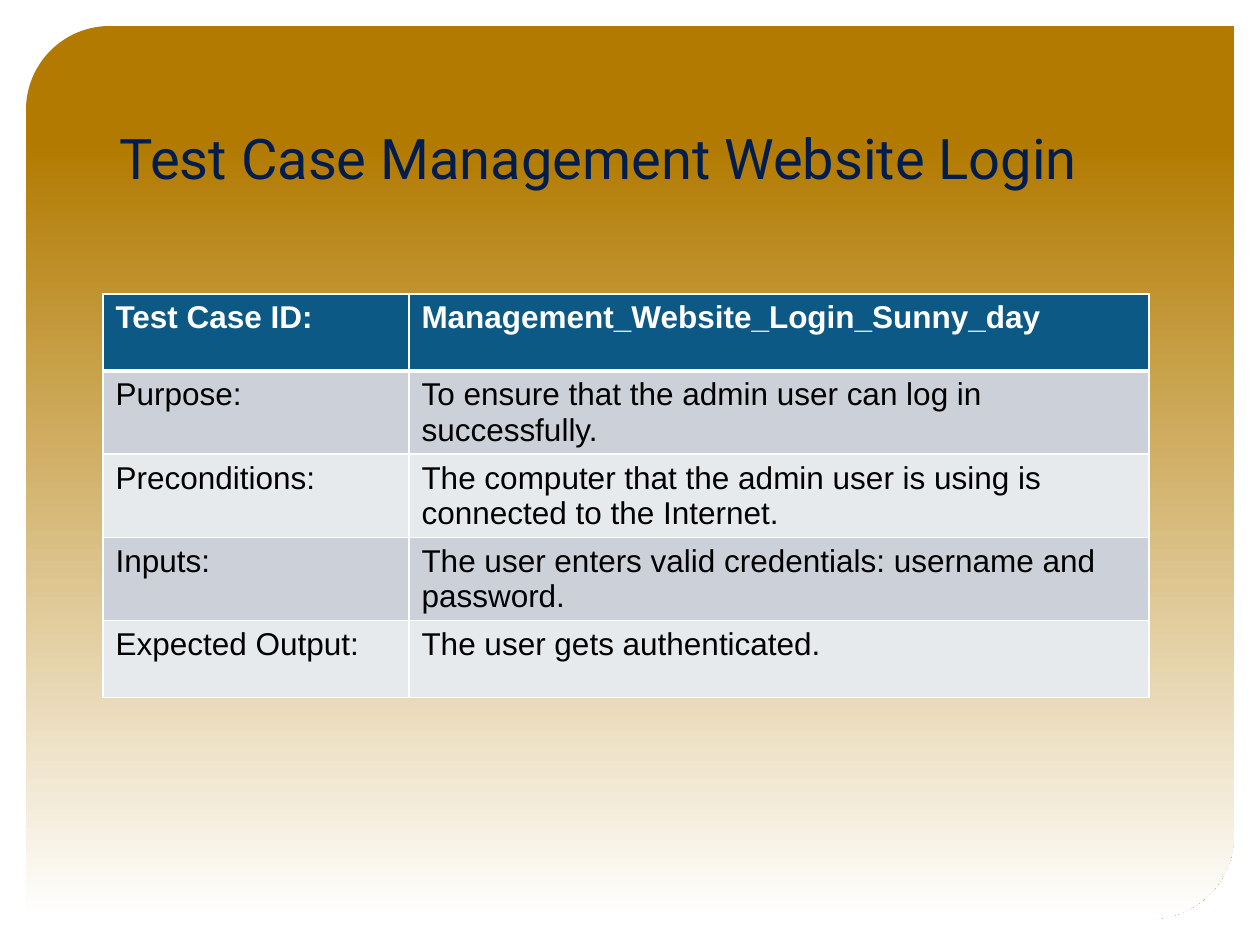
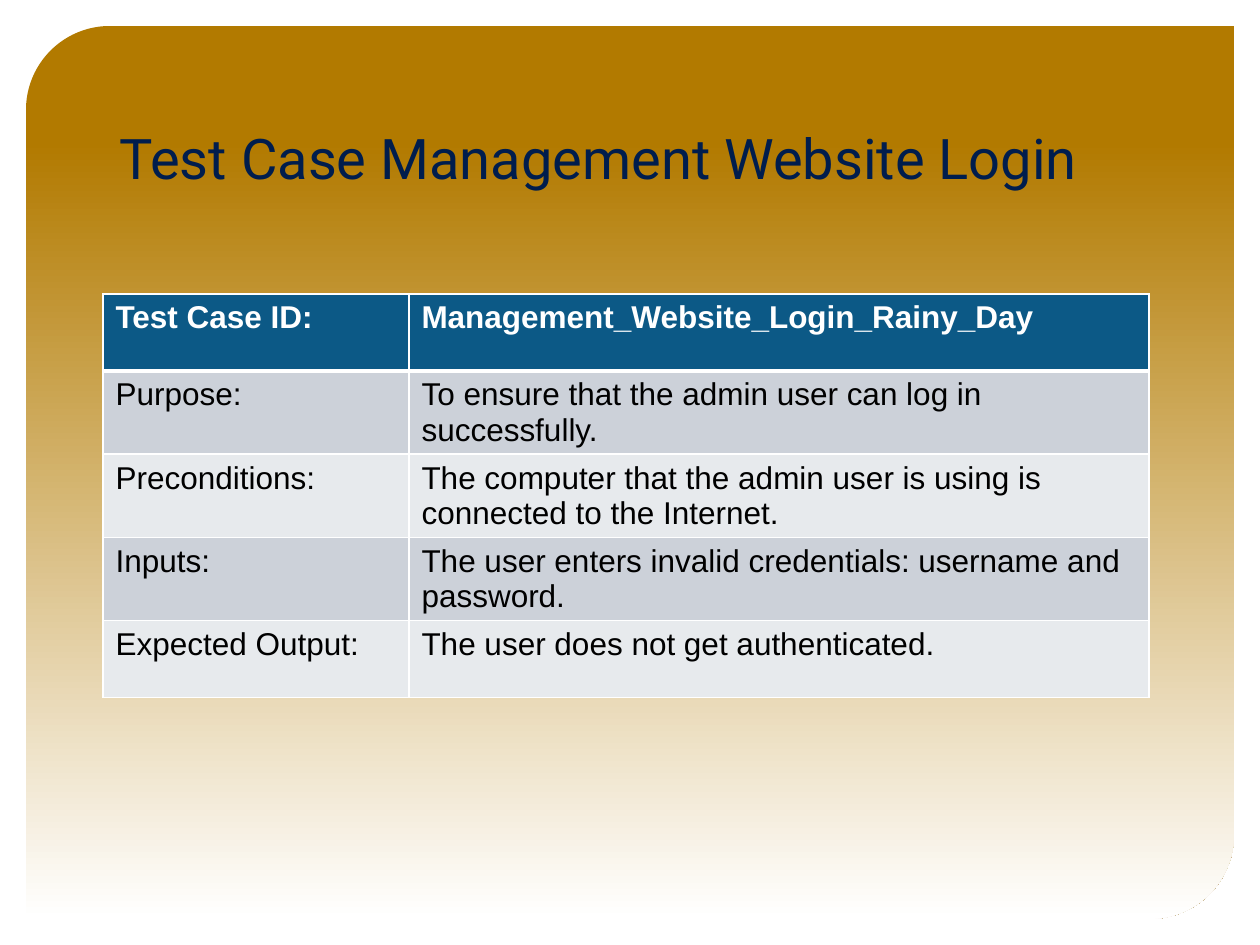
from dataclasses import dataclass

from lxml.etree import SubElement
from pptx import Presentation
from pptx.dml.color import RGBColor
from pptx.enum.shapes import MSO_SHAPE
from pptx.enum.text import MSO_ANCHOR, PP_ALIGN
from pptx.oxml.ns import qn
from pptx.util import Inches, Pt

TITLE = "Test Case Management Website Login"
LABELS = ["Test Case ID:", "Purpose:", "Preconditions:", "Inputs:", "Expected Output:"]
PURPOSE = "To ensure that the admin user can log in successfully."
PRECONDITIONS = "The computer that the admin user is using is connected to the Internet."
TEST_CASES = [
    [
        "Management_Website_Login_Sunny_day",
        PURPOSE,
        PRECONDITIONS,
        "The user enters valid credentials: username and password.",
        "The user gets authenticated.",
    ],
    [
        "Management_Website_Login_Rainy_Day",
        PURPOSE,
        PRECONDITIONS,
        "The user enters invalid credentials: username and password.",
        "The user does not get authenticated.",
    ],
]


@dataclass(frozen=True)
class Theme:
    title_font: str = "Roboto"
    body_font: str = "Arial"
    title_size: int = 32
    body_size: int = 18
    title_color: str = "001D4D"
    header_fill: str = "0C5986"
    header_text: str = "FFFFFF"
    body_text: str = "000000"
    bands: tuple = ("CCD1D9", "E7EAED")
    border: str = "FFFFFF"
    thin: int = 1
    thick: int = 3
    gradient: tuple = ((0.13, "B27A00"), (1, "FFFFFF"))


THEME = Theme()
PX = Inches(1) / 126
PAGE_SIZE = (1260, 945)
PANEL = (26, 26, 1208, 893)
PANEL_ROUNDING = 0.094
TITLE_BOX = (107, 53, 1045, 144)
TABLE_ORIGIN = (103, 294)
COLUMNS = (306, 740)
ROW_HEIGHT = 77


def px(*lengths):
    return [round(length * PX) for length in lengths]


def write(frame, text, *, font, size, color, bold=False):
    para = frame.paragraphs[0]
    para.alignment = PP_ALIGN.LEFT
    span = para.add_run()
    span.text = text
    span.font.name = font
    span.font.size = Pt(size)
    span.font.bold = bold
    span.font.color.rgb = RGBColor.from_string(color)


def add_panel(page, layout):
    panel = page.shapes.add_shape(MSO_SHAPE.ROUND_2_DIAG_RECTANGLE, *px(*PANEL))
    panel.adjustments[0] = PANEL_ROUNDING
    panel.adjustments[1] = 0
    panel.shadow.inherit = False
    panel.line.fill.background()
    panel.fill.gradient()
    panel.fill.gradient_angle = 270
    for stop, (position, color) in zip(panel.fill.gradient_stops, THEME.gradient):
        stop.position = position
        stop.color.rgb = RGBColor.from_string(color)
    layout.shapes.element.insert(2, panel.element)


def set_borders(cell, **widths):
    properties = cell._tc.get_or_add_tcPr()
    for index, side in enumerate("LRTB"):
        line = SubElement(properties, qn(f"a:ln{side}"), w=str(Pt(widths.get(side, THEME.thin))))
        fill = SubElement(line, qn("a:solidFill"))
        SubElement(fill, qn("a:srgbClr"), val=THEME.border)
        properties.insert(index, line)


def add_title(page):
    title = page.shapes.title
    title.left, title.top, title.width, title.height = px(*TITLE_BOX)
    title.text_frame.vertical_anchor = MSO_ANCHOR.BOTTOM
    write(title.text_frame, TITLE, font=THEME.title_font,
          size=THEME.title_size, color=THEME.title_color)


def add_test_table(page, values):
    size = (sum(COLUMNS), ROW_HEIGHT * len(LABELS))
    table = page.shapes.add_table(len(LABELS), len(COLUMNS), *px(*TABLE_ORIGIN, *size)).table
    for column, width in zip(table.columns, px(*COLUMNS)):
        column.width = width
    for row, texts in enumerate(zip(LABELS, values)):
        header = row == 0
        color = THEME.header_text if header else THEME.body_text
        fill = THEME.header_fill if header else THEME.bands[(row - 1) % 2]
        widths = {0: {"B": THEME.thick}, 1: {"T": THEME.thick}}.get(row, {})
        for column, text in enumerate(texts):
            cell = table.cell(row, column)
            cell.fill.solid()
            cell.fill.fore_color.rgb = RGBColor.from_string(fill)
            set_borders(cell, **widths)
            write(cell.text_frame, text, font=THEME.body_font,
                  size=THEME.body_size, color=color, bold=header)


def main():
    deck = Presentation()
    deck.slide_width, deck.slide_height = px(*PAGE_SIZE)
    layout = deck.slide_layouts.get_by_name("Title Only")
    for number, values in enumerate(TEST_CASES):
        page = deck.slides.add_slide(layout)
        if number == 0:
            add_panel(page, layout)
        add_title(page)
        add_test_table(page, values)
    deck.save("out.pptx")


if __name__ == "__main__":
    main()
